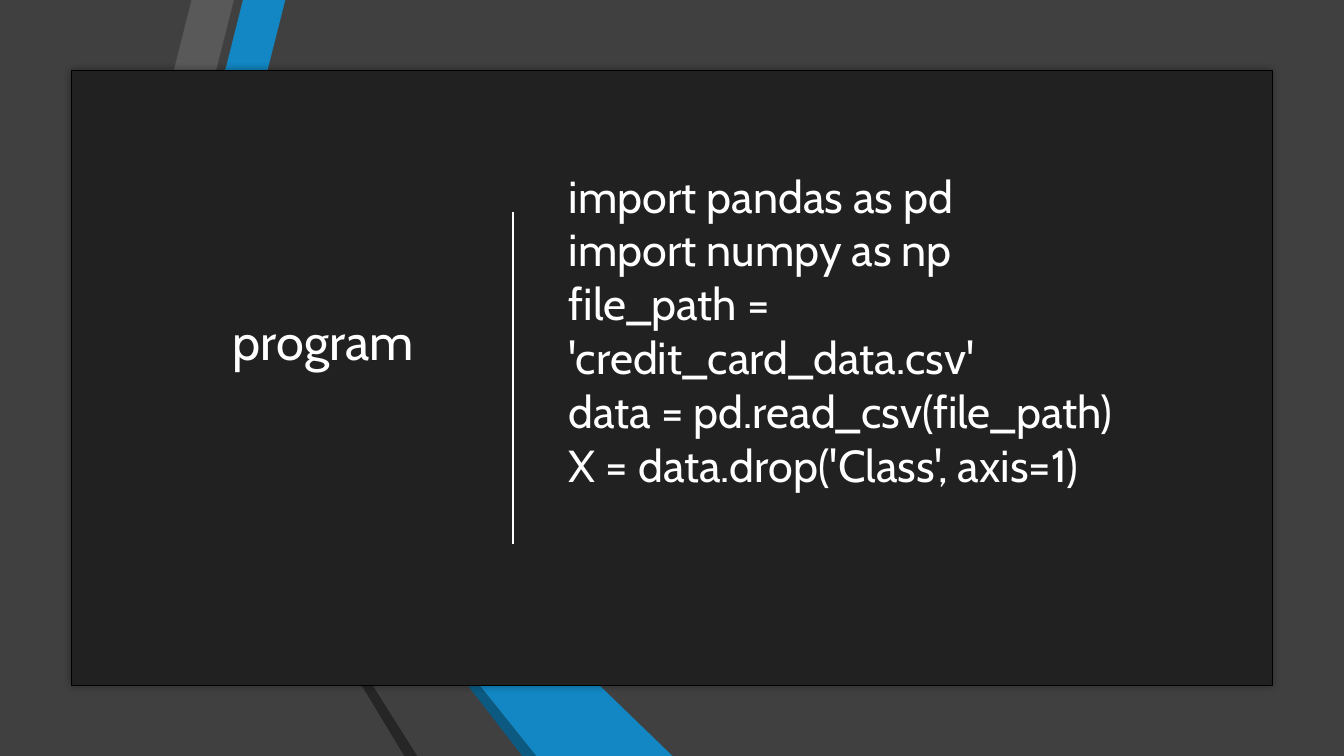
from lxml import etree
from pptx import Presentation
from pptx import util as u
from pptx.dml.color import RGBColor
from pptx.enum import shapes, text
from pptx.oxml import parse_xml
from pptx.oxml.ns import nsdecls, qn

WHITE = RGBColor(0xFF, 0xFF, 0xFF)
BLACK = RGBColor(0x00, 0x00, 0x00)
PANEL = RGBColor(0x21, 0x21, 0x21)
BACKDROP = RGBColor(0x40, 0x40, 0x40)
BLUE = RGBColor(0x12, 0x87, 0xC3)
DARK_BLUE = RGBColor(0x0C, 0x5A, 0x82)
GREY = RGBColor(0x59, 0x59, 0x59)
DARK_GREY = RGBColor(0x26, 0x26, 0x26)
FONT = "Cabin"

RIBBONS = [
    (BLUE, [(1.67, 2.94), (2.06, 3.04), (2.83, 0), (2.41, 0)]),
    (GREY, [(1.58, 2.92), (2.32, 0), (1.9, 0), (1.19, 2.82)]),
    (DARK_GREY, [(1.19, 2.83), (4.01, 7.5), (4.14, 7.5)]),
    (DARK_BLUE, [(5.32, 7.5), (1.67, 2.95), (5.18, 7.5)]),
    (BLUE, [(1.67, 2.94), (5.32, 7.5), (6.67, 7.5), (2.06, 3.04)]),
    (BACKDROP, [(5.11, 7.5), (1.58, 2.92), (1.19, 2.82), (4.14, 7.5)]),
]

CODE = [
    "import pandas as pd",
    "import numpy as np",
    "file_path = 'credit_card_data.csv'",
    "data = pd.read_csv(file_path)",
    "X = data.drop('Class', axis=1)",
]


def paint(shape, color):
    shape.shadow.inherit = False
    shape.fill.solid()
    shape.fill.fore_color.rgb = color
    shape.line.fill.background()


def add_rectangle(page, left, top, width, height, color):
    box = page.shapes.add_shape(
        shapes.MSO_SHAPE.RECTANGLE,
        u.Inches(left), u.Inches(top), u.Inches(width), u.Inches(height))
    paint(box, color)
    return box


def add_ribbon(page, color, points):
    corners = [(u.Inches(x), u.Inches(y)) for x, y in points]
    builder = page.shapes.build_freeform(*corners[0])
    builder.add_line_segments(corners[1:], close=True)
    paint(builder.convert_to_shape(), color)


def add_panel(page):
    panel = add_rectangle(page, 0.71, 0.7, 11.91, 6.1, PANEL)
    panel.line.color.rgb = BLACK
    panel.line.width = u.Pt(0.25)
    effects = panel._element.spPr.find(qn("a:effectLst"))
    effects.append(parse_xml(
        f'<a:outerShdw {nsdecls("a")} blurRad="{u.Pt(5)}" dist="0" dir="0">'
        '<a:srgbClr val="000000"><a:alpha val="40000"/></a:srgbClr>'
        '</a:outerShdw>'))


def add_divider(page):
    divider = page.shapes.add_connector(
        shapes.MSO_CONNECTOR.STRAIGHT,
        u.Inches(5.09), u.Inches(2.1), u.Inches(5.09), u.Inches(5.4))
    divider.line.color.rgb = WHITE
    divider.line.width = u.Pt(1.25)
    etree.SubElement(divider._element.spPr, qn("a:effectLst"))


def fill_placeholder(page, box, left, top, width, height, lines, size):
    box.left, box.top = u.Inches(left), u.Inches(top)
    box.width, box.height = u.Inches(width), u.Inches(height)
    page.shapes._spTree.append(box._element)
    frame = box.text_frame
    frame.word_wrap = True
    frame.auto_size = text.MSO_AUTO_SIZE.NONE
    frame.vertical_anchor = text.MSO_ANCHOR.TOP
    for index, line in enumerate(lines):
        para = frame.add_paragraph() if index else frame.paragraphs[0]
        para.alignment = text.PP_ALIGN.LEFT
        para.space_before = u.Pt(0)
        properties = para._p.get_or_add_pPr()
        properties.set("marL", "0")
        properties.set("indent", "0")
        etree.SubElement(properties, qn("a:buNone"))
        span = para.add_run()
        span.text = line
        span.font.name = FONT
        span.font.size = u.Pt(size)
        span.font.color.rgb = WHITE


def main():
    deck = Presentation()
    deck.slide_width, deck.slide_height = u.Inches(13.33), u.Inches(7.5)
    page = deck.slides.add_slide(deck.slide_layouts[1])
    page.background.fill.solid()
    page.background.fill.fore_color.rgb = PANEL
    add_rectangle(page, 0, 0, 13.33, 7.5, BACKDROP)
    for color, points in RIBBONS:
        add_ribbon(page, color, points)
    add_panel(page)
    add_divider(page)
    title, body = page.shapes.title, page.placeholders[1]
    fill_placeholder(page, title, 2.21, 3.03, 2.1, 0.71, ["program"], 36)
    fill_placeholder(page, body, 5.54, 1.62, 5.76, 3.33, CODE, 32)
    deck.save("out.pptx")


if __name__ == "__main__":
    main()
